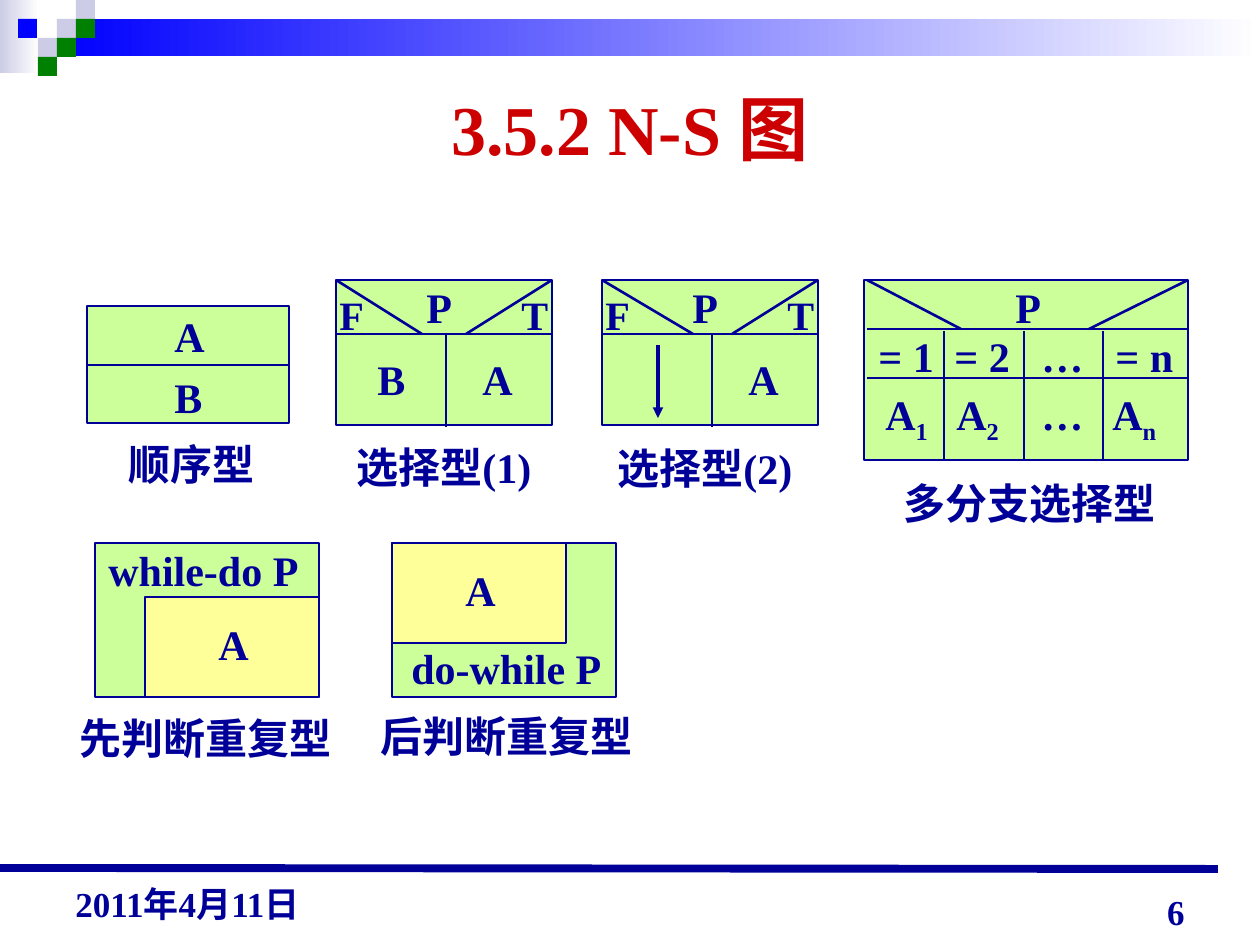
"""Build a slide of the basic N-S chart structures."""
from dataclasses import dataclass

from lxml import etree
from pptx import Presentation, util as u
from pptx.dml.color import RGBColor
from pptx.enum import shapes, text
from pptx.oxml import ns

SCALE = 914400 / 126
FONT = "Times New Roman"
HUES = {
    "ink": "000099", "title": "CC0000", "lime": "CCFF99", "cream": "FFFF99",
    "white": "FFFFFF", "pale": "CCCCE6", "blue": "0000FF", "green": "008000",
}


@dataclass
class Box:
    x: int
    y: int
    w: int
    h: int
    fill: str = "lime"
    edge: bool = True
    fade: bool = False


@dataclass
class Line:
    x1: int
    y1: int
    x2: int
    y2: int
    width: float = 1.5
    arrow: bool = False


@dataclass
class Label:
    words: str
    x: int
    y: int
    w: int
    h: int = 63
    size: int = 24
    hue: str = "ink"
    sub: str = ""
    wrap: bool = False
    gap: int = 0
    align: text.PP_ALIGN = text.PP_ALIGN.LEFT
    anchor: text.MSO_ANCHOR = text.MSO_ANCHOR.TOP


def px(*sizes: int) -> list[u.Emu]:
    return [u.Emu(round(size * SCALE)) for size in sizes]


def rgb(hue: str) -> RGBColor:
    return RGBColor.from_string(HUES[hue])


def draw_box(slide, box: Box) -> None:
    shape = slide.shapes.add_shape(
        shapes.MSO_SHAPE.RECTANGLE, *px(box.x, box.y, box.w, box.h))
    shape.shadow.inherit = False
    if box.fade:
        shape.fill.gradient()
        shape.fill.gradient_angle = 180
        for stop, hue in zip(shape.fill.gradient_stops, ("white", box.fill)):
            stop.color.rgb = rgb(hue)
    else:
        shape.fill.solid()
        shape.fill.fore_color.rgb = rgb(box.fill)
    if box.edge:
        shape.line.color.rgb = rgb("ink")
        shape.line.width = u.Pt(1.5)
    else:
        shape.line.fill.background()


def draw_line(slide, line: Line) -> None:
    shape = slide.shapes.add_connector(
        shapes.MSO_CONNECTOR.STRAIGHT, *px(line.x1, line.y1, line.x2, line.y2))
    shape.line.color.rgb = rgb("ink")
    shape.line.width = u.Pt(line.width)
    if line.arrow:
        etree.SubElement(shape.line._get_or_add_ln(), ns.qn("a:tailEnd"), type="triangle")
    etree.SubElement(shape._element.spPr, ns.qn("a:effectLst"))


def draw_label(slide, label: Label) -> None:
    shape = slide.shapes.add_textbox(*px(label.x, label.y, label.w, label.h))
    frame = shape.text_frame
    frame.text = label.words
    frame.word_wrap = label.wrap
    frame.vertical_anchor = label.anchor
    if not label.wrap:
        frame.auto_size = text.MSO_AUTO_SIZE.SHAPE_TO_FIT_TEXT
    if label.sub:
        run = frame.paragraphs[0].add_run()
        run.text = label.sub
        run.font._element.set("baseline", "-25000")
    for para in frame.paragraphs:
        para.alignment = label.align
        para.space_before = u.Pt(label.gap)
        for run in para.runs:
            font = run.font
            font.name, font.size, font.bold = FONT, u.Pt(label.size), True
            font.color.rgb = rgb(label.hue)


def draw_all(slide, *parts: Box | Line | Label) -> None:
    tools = {Box: draw_box, Line: draw_line, Label: draw_label}
    for part in parts:
        tools[type(part)](slide, part)


def draw_frame(slide) -> None:
    draw_all(slide, Box(0, 0, 39, 73, "pale", False, True),
             Box(57, 19, 1203, 37, "blue", False, True))
    tiles = [(57, 19, "pale"), (76, 0, "pale"), (76, 19, "green"), (38, 38, "pale"),
             (18, 19, "blue"), (57, 38, "green"), (38, 57, "green")]
    for x, y, hue in tiles:
        draw_box(slide, Box(x, y, 19, 19, hue, False))
    low = text.MSO_ANCHOR.BOTTOM
    draw_all(
        slide,
        Line(0, 868, 1218, 869, 4.5),
        Label("3.5.2 N-S 图", 63, 91, 1134, 74, 40, "title", wrap=True,
              align=text.PP_ALIGN.CENTER, anchor=text.MSO_ANCHOR.MIDDLE),
        Label("2011年4月11日", 63, 866, 294, 65, 20, wrap=True, anchor=low),
        Label("6", 903, 876, 294, 63, 20, wrap=True, align=text.PP_ALIGN.RIGHT, anchor=low))


def draw_chain(slide) -> None:
    draw_all(
        slide,
        Box(87, 306, 202, 117),
        Line(87, 365, 289, 365),
        Label("A\nB", 162, 304, 55, 125, gap=6),
        Label("顺序型", 116, 432, 151))


def draw_choice(slide, x: int, notch: int, name: Label) -> None:
    draw_all(
        slide,
        Box(x, 280, 216, 145),
        Line(x, 334, x + 217, 334),
        Line(x + 110, 334, x + 110, 427),
        Line(x + 216, 280, x + 130, 334),
        Line(x, 280, x + notch, 334),
        Label("P", x + 78, 275, 50),
        Label("F", x - 9, 284, 49, 62, 23),
        Label("T", x + 173, 284, 52, 62, 23),
        Label("A", x + 134, 347, 55),
        name)


def draw_loop(slide, x: int, inner: Box, test: Label, name: Label) -> None:
    draw_all(
        slide, Box(x, 543, 224, 154), test, inner,
        Label("A", inner.x + 61, inner.y + 15, 55), name)


def draw_switch(slide) -> None:
    draw_all(
        slide,
        Box(864, 280, 324, 180),
        Line(867, 378, 1188, 378),
        Line(1188, 280, 1089, 329),
        Line(867, 280, 961, 329),
        Line(867, 329, 1188, 329),
        Label("P", 1003, 275, 50))
    for x in (944, 1024, 1103):
        draw_line(slide, Line(x, 331, x, 460))
    cells = [("= 1", 866, 84), ("= 2", 942, 84), ("…", 1029, 69), ("= n", 1103, 86)]
    for words, x, w in cells:
        draw_label(slide, Label(words, x, 324, w))
    for sub, x in (("1", 873), ("2", 944), ("n", 1100)):
        draw_label(slide, Label("A", x, 382, 71, 71, sub=sub))
    draw_all(slide, Label("…", 1029, 382, 69, 71), Label("多分支选择型", 891, 471, 277))


def main() -> None:
    deck = Presentation()
    deck.slide_width, deck.slide_height = px(1260, 945)
    slide = deck.slides.add_slide(deck.slide_layouts[6])
    draw_frame(slide)
    draw_chain(slide)
    draw_choice(slide, 336, 86, Label("选择型(1)", 344, 435, 210))
    draw_choice(slide, 602, 91, Label("选择型(2)", 605, 436, 210))
    draw_all(slide, Label("B", 365, 347, 53), Line(658, 345, 658, 418, 2, True))
    draw_loop(slide, 95, Box(145, 597, 174, 100, "cream"),
              Label("while-do P", 96, 538, 215),
              Label("先判断重复型", 67, 706, 286, wrap=True))
    draw_loop(slide, 392, Box(392, 543, 174, 100, "cream"),
              Label("do-while P", 399, 636, 215),
              Label("后判断重复型", 368, 704, 328, wrap=True))
    draw_switch(slide)
    deck.save("out.pptx")


if __name__ == "__main__":
    main()
